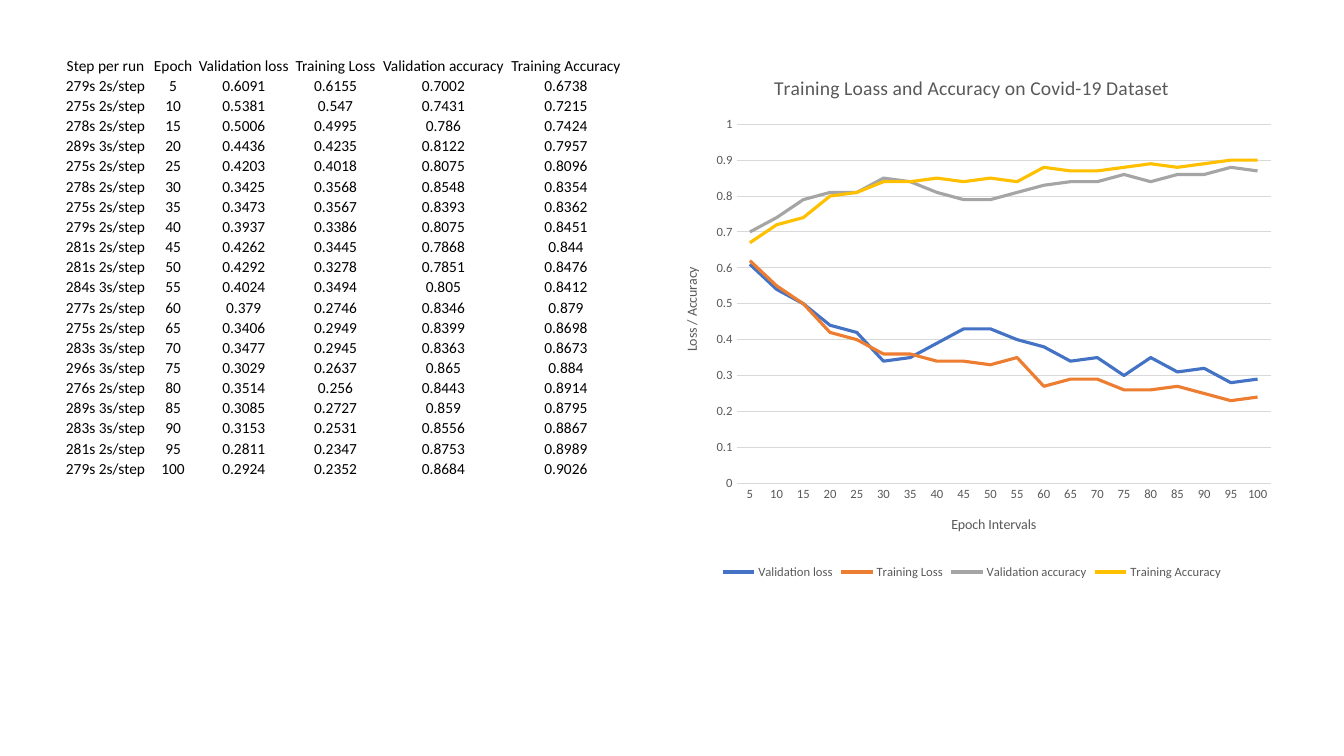
from pptx import Presentation
from pptx.chart.data import CategoryChartData
from pptx.dml.color import RGBColor
from pptx.enum.chart import XL_CHART_TYPE, XL_LEGEND_POSITION, XL_MARKER_STYLE, XL_TICK_MARK
from pptx.enum.text import MSO_ANCHOR, PP_ALIGN
from pptx.oxml import parse_xml
from pptx.oxml.ns import nsdecls
from pptx.util import Pt

# Content
HEADERS = ("Step per run", "Epoch", "Validation loss", "Training Loss",
           "Validation accuracy", "Training Accuracy")
RUNS = [
    ("279s 2s/step", 5, 0.6091, 0.6155, 0.7002, 0.6738),
    ("275s 2s/step", 10, 0.5381, 0.547, 0.7431, 0.7215),
    ("278s 2s/step", 15, 0.5006, 0.4995, 0.786, 0.7424),
    ("289s 3s/step", 20, 0.4436, 0.4235, 0.8122, 0.7957),
    ("275s 2s/step", 25, 0.4203, 0.4018, 0.8075, 0.8096),
    ("278s 2s/step", 30, 0.3425, 0.3568, 0.8548, 0.8354),
    ("275s 2s/step", 35, 0.3473, 0.3567, 0.8393, 0.8362),
    ("279s 2s/step", 40, 0.3937, 0.3386, 0.8075, 0.8451),
    ("281s 2s/step", 45, 0.4262, 0.3445, 0.7868, 0.844),
    ("281s 2s/step", 50, 0.4292, 0.3278, 0.7851, 0.8476),
    ("284s 3s/step", 55, 0.4024, 0.3494, 0.805, 0.8412),
    ("277s 2s/step", 60, 0.379, 0.2746, 0.8346, 0.879),
    ("275s 2s/step", 65, 0.3406, 0.2949, 0.8399, 0.8698),
    ("283s 3s/step", 70, 0.3477, 0.2945, 0.8363, 0.8673),
    ("296s 3s/step", 75, 0.3029, 0.2637, 0.865, 0.884),
    ("276s 2s/step", 80, 0.3514, 0.256, 0.8443, 0.8914),
    ("289s 3s/step", 85, 0.3085, 0.2727, 0.859, 0.8795),
    ("283s 3s/step", 90, 0.3153, 0.2531, 0.8556, 0.8867),
    ("281s 2s/step", 95, 0.2811, 0.2347, 0.8753, 0.8989),
    ("279s 2s/step", 100, 0.2924, 0.2352, 0.8684, 0.9026),
]
CHART_TITLE = "Training Loass and Accuracy on Covid-19 Dataset"
EPOCH_TITLE = "Epoch Intervals"
VALUE_TITLE = "Loss / Accuracy"

THEME = {
    "font": "Calibri",
    "text": RGBColor.from_string("000000"),
    "muted": RGBColor.from_string("595959"),
    "rule": RGBColor.from_string("D9D9D9"),
    "series": [RGBColor.from_string(c) for c in ("4472C4", "ED7D31", "A5A5A5", "FFC000")],
    "cell_size": 11, "title_size": 14, "axis_title_size": 10, "label_size": 9,
}

# Layout in points
TOP = 39.4
TABLE_LEFT, ROW_HEIGHT = 43, 14.4
COLUMN_WIDTHS = (64.8, 31.7, 69.3, 61.8, 92.3, 82.8)
CELL_INSET = 0.7
CHART_LEFT, CHART_WIDTH, CHART_HEIGHT = 470.9, 446.4, 377.3
PLOT_LEFT, PLOT_TOP, PLOT_WIDTH, PLOT_HEIGHT = 55.2, 49.4, 381.8, 256.5  # inside the chart


def style_font(font, size, color):
    font.name, font.size, font.bold = THEME["font"], Pt(size), False
    font.color.rgb = color


def set_title(title, text, size):
    title.text_frame.text = text
    style_font(title.text_frame.paragraphs[0].runs[0].font, size, THEME["muted"])


def add_run_table(page):
    rows = [HEADERS] + RUNS
    table = page.shapes.add_table(
        len(rows), len(HEADERS), Pt(TABLE_LEFT), Pt(TOP),
        Pt(sum(COLUMN_WIDTHS)), Pt(ROW_HEIGHT * len(rows))).table
    table.first_row = table.horz_banding = False
    for column, width in zip(table.columns, COLUMN_WIDTHS):
        column.width = Pt(width)
    for row, values in zip(table.rows, rows):
        row.height = Pt(ROW_HEIGHT)
        for cell, value in zip(row.cells, values):
            cell.fill.background()
            cell.margin_left = cell.margin_right = cell.margin_top = Pt(CELL_INSET)
            cell.margin_bottom = 0
            cell.vertical_anchor = MSO_ANCHOR.BOTTOM
            para = cell.text_frame.paragraphs[0]
            para.text = str(value)
            para.alignment = PP_ALIGN.CENTER
            style_font(para.runs[0].font, THEME["cell_size"], THEME["text"])


def place_plot(chart):
    shares = {"x": PLOT_LEFT / CHART_WIDTH, "y": PLOT_TOP / CHART_HEIGHT,
              "w": PLOT_WIDTH / CHART_WIDTH, "h": PLOT_HEIGHT / CHART_HEIGHT}
    sizes = "".join(f'<c:{key} val="{share:.4f}"/>' for key, share in shares.items())
    layout = parse_xml(
        f'<c:layout {nsdecls("c")}><c:manualLayout><c:layoutTarget val="inner"/>'
        f'<c:xMode val="edge"/><c:yMode val="edge"/>{sizes}</c:manualLayout></c:layout>')
    plot_area = chart.plots[0]._element.getparent()
    for old in plot_area.findall(layout.tag):
        plot_area.remove(old)
    plot_area.insert(0, layout)


def add_progress_chart(page):
    # The chart plots the last four table columns, rounded, against the epoch
    _, epochs, *measures = zip(*RUNS)
    data = CategoryChartData()
    data.categories = [str(epoch) for epoch in epochs]
    for name, values in zip(HEADERS[2:], measures):
        data.add_series(name, [round(value, 2) for value in values])
    chart = page.shapes.add_chart(
        XL_CHART_TYPE.LINE, Pt(CHART_LEFT), Pt(TOP),
        Pt(CHART_WIDTH), Pt(CHART_HEIGHT), data).chart
    style_font(chart.font, THEME["label_size"], THEME["muted"])
    set_title(chart.chart_title, CHART_TITLE, THEME["title_size"])
    chart.plots[0].vary_by_categories = False
    place_plot(chart)

    # Lines
    for series, color in zip(chart.plots[0].series, THEME["series"]):
        series.smooth = False
        series.marker.style = XL_MARKER_STYLE.NONE
        series.format.line.color.rgb = color
        series.format.line.width = Pt(2.25)

    # Axes
    epoch_axis, value_axis = chart.category_axis, chart.value_axis
    for axis, title in ((epoch_axis, EPOCH_TITLE), (value_axis, VALUE_TITLE)):
        set_title(axis.axis_title, title, THEME["axis_title_size"])
        axis.major_tick_mark = axis.minor_tick_mark = XL_TICK_MARK.NONE
        style_font(axis.tick_labels.font, THEME["label_size"], THEME["muted"])
    value_axis.minimum_scale, value_axis.maximum_scale, value_axis.major_unit = 0, 1, 0.1
    value_axis.format.line.fill.background()
    for line in (epoch_axis.format.line, value_axis.major_gridlines.format.line):
        line.color.rgb = THEME["rule"]
        line.width = Pt(0.75)

    # Legend
    chart.has_legend = True
    chart.legend.position = XL_LEGEND_POSITION.BOTTOM
    chart.legend.include_in_layout = False
    style_font(chart.legend.font, THEME["label_size"], THEME["muted"])


def main():
    deck = Presentation()
    deck.slide_width, deck.slide_height = Pt(960), Pt(540)
    page = deck.slides.add_slide(deck.slide_layouts[6])
    add_progress_chart(page)
    add_run_table(page)
    deck.save("out.pptx")


if __name__ == "__main__":
    main()
